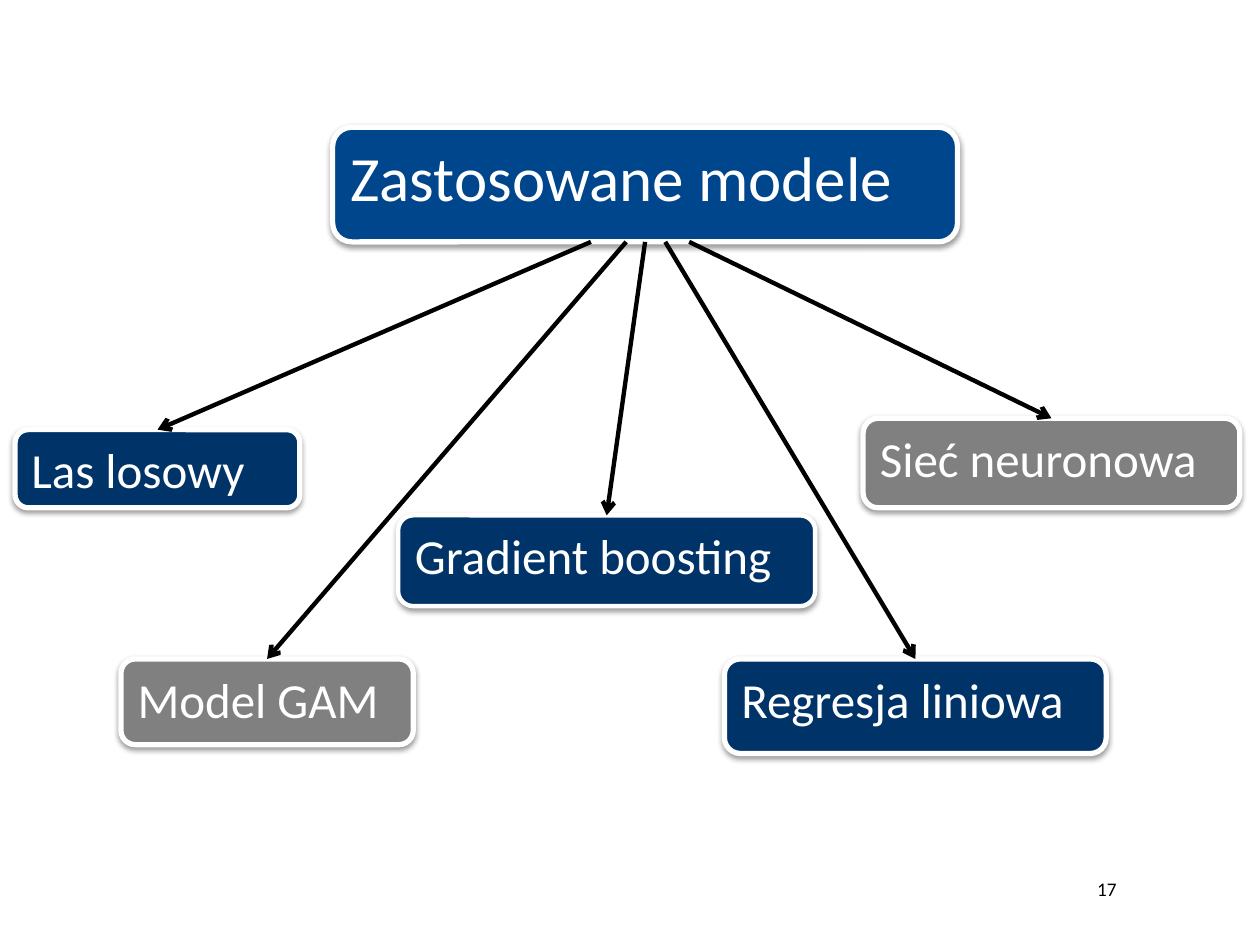
import dataclasses

import pptx
import pptx.dml.color
import pptx.enum.shapes
import pptx.enum.text
import pptx.oxml
import pptx.oxml.ns
import pptx.util

COLUMNS, ROWS = 100, 75
CELL = pptx.util.Inches(0.1)
ALIGN = pptx.enum.text.PP_ALIGN
ANCHOR = pptx.enum.text.MSO_ANCHOR


@dataclasses.dataclass(frozen=True)
class Theme:
    font: str = "Calibri"
    root: str = "00468C"
    navy: str = "003469"
    grey: str = "808080"
    white: str = "FFFFFF"
    black: str = "000000"
    root_size: int = 36
    model_size: int = 28
    number_size: int = 11
    border: float = 3
    thin: float = 2.5


THEME = Theme()

# text, (column, row, columns wide, rows high), fill, border, arrow start column
MODELS = [
    ("Las losowy", (1.2, 34.1, 22.6, 6.2), THEME.navy, THEME.border, 46.9),
    ("Sieć neuronowa", (68.5, 33.2, 29.9, 7.1), THEME.grey, THEME.border, 54.7),
    ("Regresja liniowa", (57.5, 52.3, 30.3, 7.5), THEME.navy, THEME.border, 52.8),
    ("Model GAM", (9.6, 52.3, 23.2, 6.8), THEME.grey, THEME.border, 49.7),
    ("Gradient boosting", (31.6, 40.9, 33.1, 7.2), THEME.navy, THEME.thin, None),
]


def grid(*cells):
    return [round(cell * CELL) for cell in cells]


def rgb(value):
    return pptx.dml.color.RGBColor.from_string(value)


def add_effects(shape, content=""):
    """Replace the theme's effects with the given ones, or with none."""
    namespace = pptx.oxml.ns.nsdecls("a")
    shape._element.spPr.append(
        pptx.oxml.parse_xml(f"<a:effectLst {namespace}>{content}</a:effectLst>"))


def write(frame, text, size, color, align, **frame_format):
    for name, value in {"word_wrap": True, **frame_format}.items():
        setattr(frame, name, value)
    paragraph = frame.paragraphs[0]
    paragraph.text, paragraph.alignment = text, align
    font = paragraph.runs[0].font
    for name, value in {"name": THEME.font, "size": pptx.util.Pt(size)}.items():
        setattr(font, name, value)
    font.color.rgb = rgb(color)


def add_box(slide, text, place, fill, border, size):
    box = slide.shapes.add_shape(
        pptx.enum.shapes.MSO_SHAPE.ROUNDED_RECTANGLE, *grid(*place))
    box.fill.solid()
    box.fill.fore_color.rgb = rgb(fill)
    box.line.color.rgb = rgb(THEME.white)
    box.line.width = pptx.util.Pt(border)
    add_effects(box, (
        '<a:outerShdw blurRad="40000" dist="20000" dir="5400000" rotWithShape="0">'
        f'<a:srgbClr val="{THEME.black}"><a:alpha val="38000"/></a:srgbClr>'
        '</a:outerShdw>'))
    write(box.text_frame, text, size, THEME.white, ALIGN.LEFT,
          vertical_anchor=ANCHOR.TOP)
    return box


def add_arrow(slide, root, model, start_column):
    """Point from the root's lower edge to the model; no column means its middle."""
    start_x = grid(start_column or 0)[0]
    arrow = slide.shapes.add_connector(
        pptx.enum.shapes.MSO_CONNECTOR.STRAIGHT,
        start_x, root.top + root.height, model.left, model.top)
    if start_column is None:
        arrow.begin_connect(root, 2)
    arrow.end_connect(model, 0)
    arrow.line.color.rgb = rgb(THEME.black)
    arrow.line.width = pptx.util.Pt(THEME.thin)
    arrow.line._get_or_add_ln().append(pptx.oxml.parse_xml(
        f'<a:tailEnd {pptx.oxml.ns.nsdecls("a")} type="arrow"/>'))
    add_effects(arrow)


def add_page_number(slide, number):
    label = slide.shapes.add_textbox(*grid(83.5, 68.6, 8.7, 3.9))
    sides = ("left", "top", "right", "bottom")
    write(label.text_frame, number, THEME.number_size, THEME.black, ALIGN.CENTER,
          vertical_anchor=ANCHOR.MIDDLE,
          **{f"margin_{side}": 0 for side in sides})


def main():
    deck = pptx.Presentation()
    deck.slide_width, deck.slide_height = grid(COLUMNS, ROWS)
    slide = deck.slides.add_slide(deck.slide_layouts.get_by_name("Blank"))
    add_page_number(slide, "17")
    root = add_box(slide, "Zastosowane modele", (26.4, 10.1, 49.6, 9.1),
                   THEME.root, THEME.border, THEME.root_size)
    targets = [
        (add_box(slide, text, place, fill, border, THEME.model_size), start)
        for text, place, fill, border, start in MODELS
    ]
    for model, start in targets:
        add_arrow(slide, root, model, start)
    deck.save("out.pptx")


if __name__ == "__main__":
    main()
